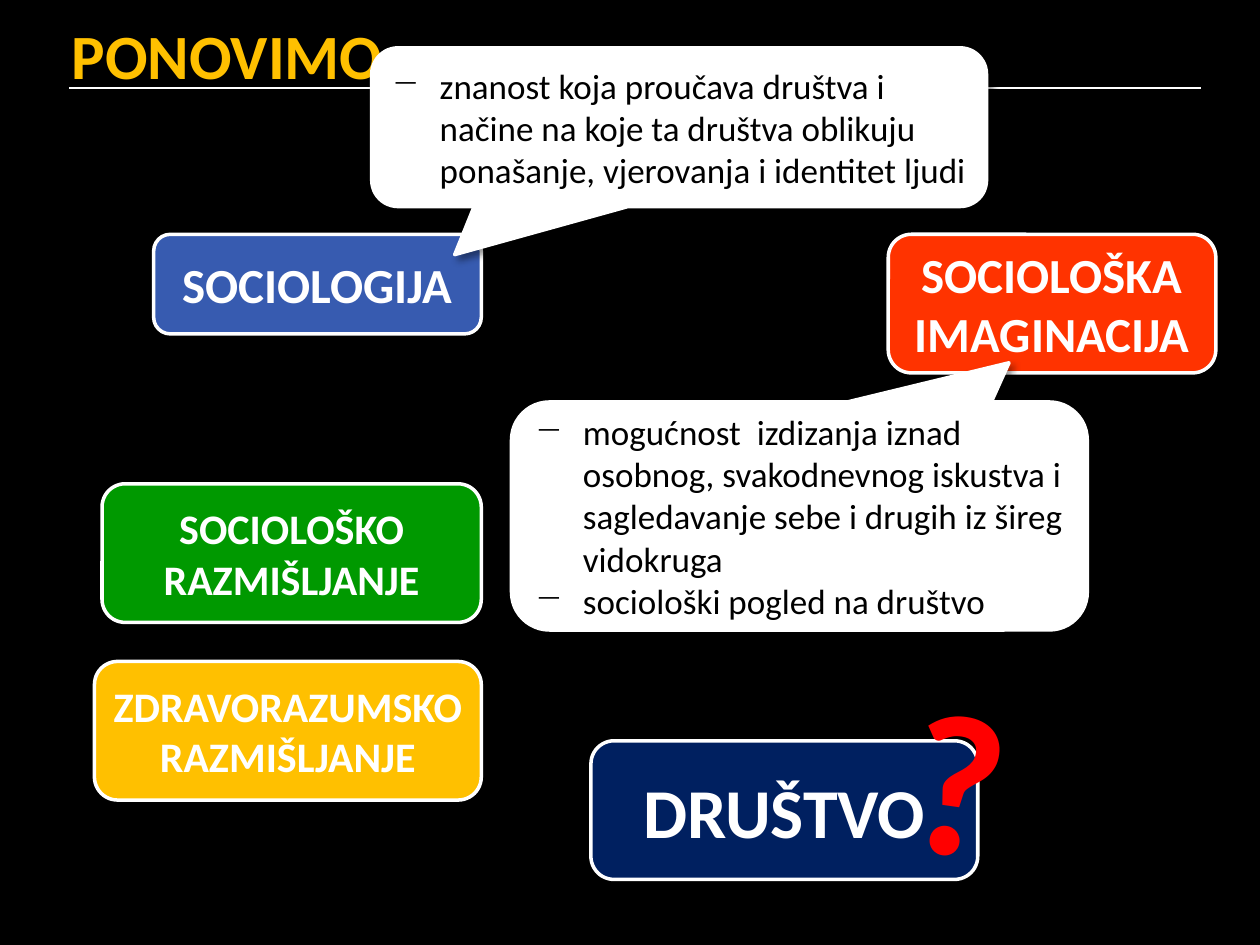
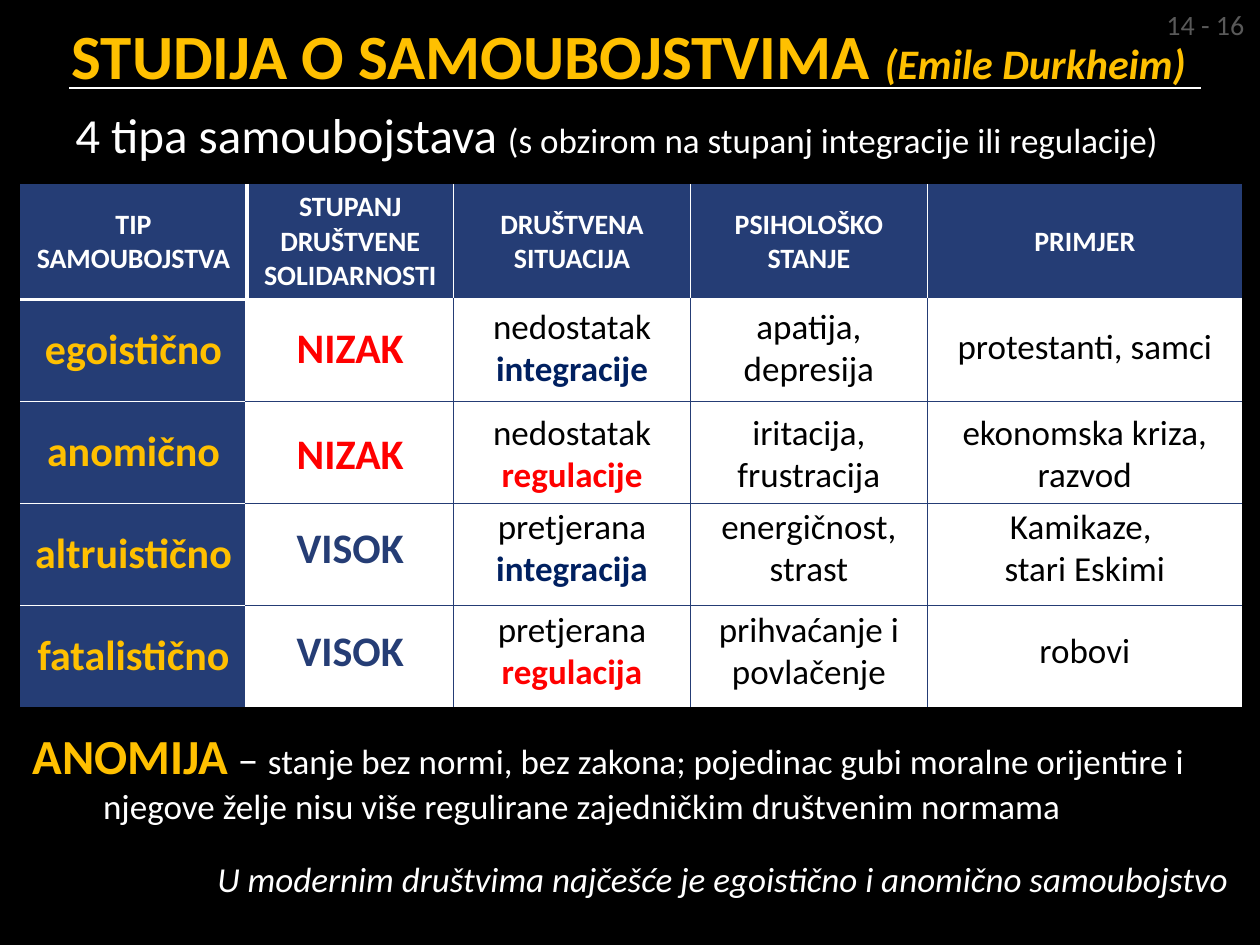
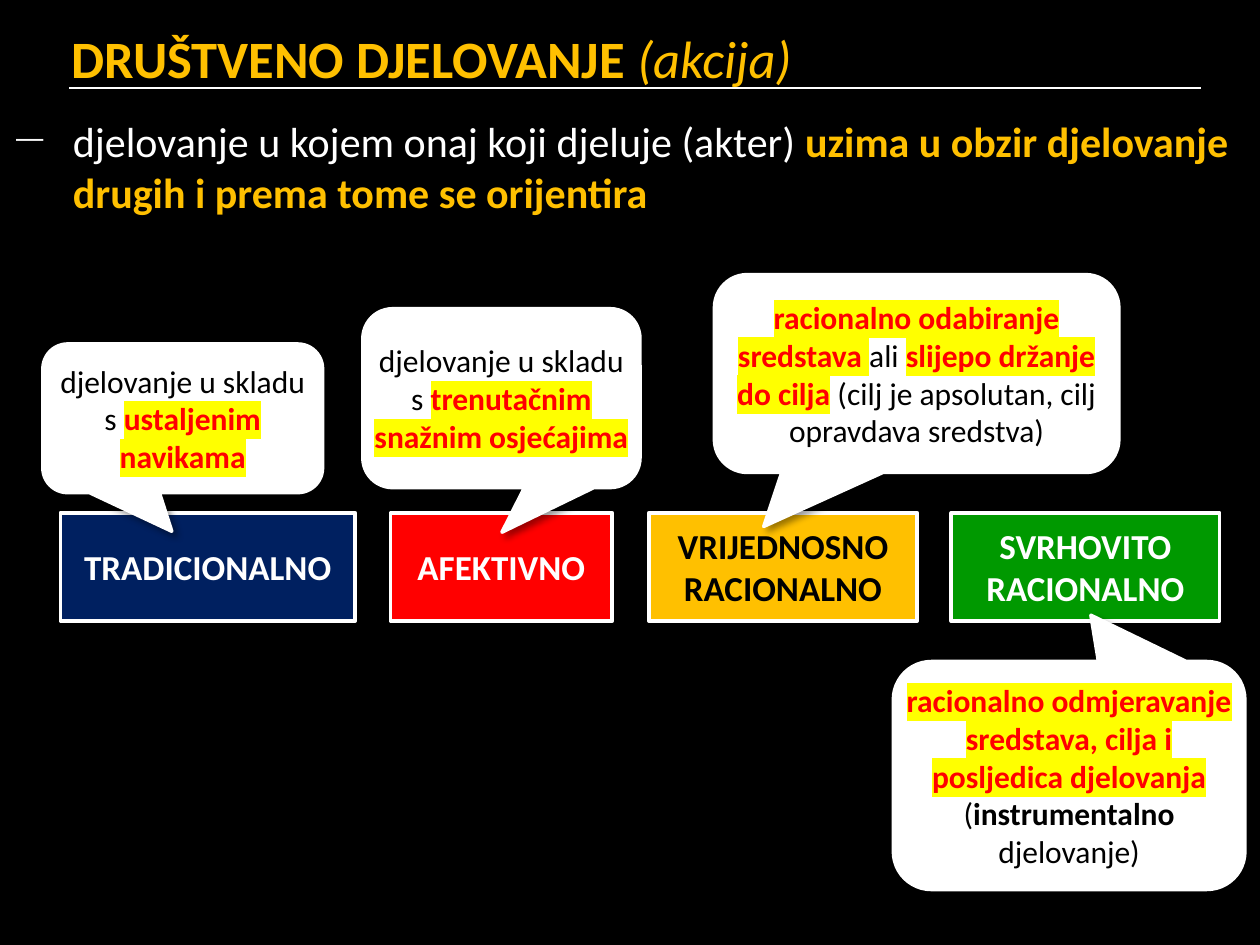
from dataclasses import dataclass

from lxml.etree import SubElement
from pptx import Presentation
from pptx.dml.color import RGBColor
from pptx.enum.shapes import MSO_CONNECTOR as Connector, MSO_SHAPE as Shape
from pptx.enum.text import MSO_ANCHOR as Anchor, MSO_AUTO_SIZE as AutoSize, PP_ALIGN as Align
from pptx.oxml.ns import qn
from pptx.util import Inches, Pt


@dataclass(frozen=True)
class Theme:
    font: str = "Calibri"
    black: str = "000000"
    white: str = "FFFFFF"
    gold: str = "FFC000"
    red: str = "FF0000"
    orange: str = "FF3300"
    green: str = "009900"
    blue: str = "375BB0"
    navy: str = "002060"
    table_blue: str = "253D75"
    grey: str = "595959"
    dash: str = "F9F9F9"
    marker: str = "FFFF00"
    title: float = 36
    subtitle: float = 30
    giant: float = 115
    huge: float = 40
    large: float = 28
    medium: float = 24
    body: float = 20
    note: float = 18
    small: float = 16
    outline: float = 2


T = Theme()


@dataclass(frozen=True)
class Span:
    text: str
    size: float = T.body
    color: str = T.black
    bold: bool = False
    italic: bool = False
    highlight: str = ""


@dataclass(frozen=True)
class Para:
    spans: tuple
    align: Align = Align.LEFT
    left: float = 0
    first: float = 0
    before: float = 0
    bullet: str = ""
    bullet_color: str = ""
    bullet_percent: int = 0


def rgb(value):
    return RGBColor.from_string(value)


def centred(*spans):
    return Para(spans, Align.CENTER)


def add_color(parent, value):
    fill = SubElement(parent, qn("a:solidFill"))
    return SubElement(fill, qn("a:srgbClr"), val=value)


# --- Text ---
def write_span(paragraph, span):
    run = paragraph.add_run()
    run.text = span.text
    font = run.font
    font.name, font.size = T.font, Pt(span.size)
    font.bold, font.italic = span.bold, span.italic
    font.color.rgb = rgb(span.color)
    if span.highlight:
        props = run._r.get_or_add_rPr()
        marker = SubElement(props, qn("a:highlight"))
        SubElement(marker, qn("a:srgbClr"), val=span.highlight)
        props.find(qn("a:solidFill")).addnext(marker)
    return run


def format_paragraph(paragraph, para):
    paragraph.alignment = para.align
    if para.before:
        paragraph.space_before = Pt(para.before)
    props = paragraph._p.get_or_add_pPr()
    props.set("marL", str(Inches(para.left)))
    props.set("indent", str(Inches(para.first)))
    if para.bullet_color:
        SubElement(SubElement(props, qn("a:buClr")), qn("a:srgbClr"), val=para.bullet_color)
    if para.bullet_percent:
        SubElement(props, qn("a:buSzPct"), val=str(para.bullet_percent * 1000))
    if para.bullet:
        SubElement(props, qn("a:buChar"), char=para.bullet)
    else:
        SubElement(props, qn("a:buNone"))


def write_text(frame, paras, anchor=Anchor.TOP, insets=(0.1, 0.05), wrap=True):
    frame.word_wrap = wrap
    frame.auto_size = AutoSize.NONE
    frame.vertical_anchor = anchor
    frame.margin_left = frame.margin_right = Inches(insets[0])
    frame.margin_top = frame.margin_bottom = Inches(insets[1])
    for index, para in enumerate(paras):
        paragraph = frame.add_paragraph() if index else frame.paragraphs[0]
        format_paragraph(paragraph, para)
        for span in para.spans:
            write_span(paragraph, span)


def add_text(slide, place, *paras, wrap=True):
    box = slide.shapes.add_textbox(*map(Inches, place))
    write_text(box.text_frame, paras, wrap=wrap)
    return box


# --- Shared slide frame ---
def add_titled_slide(deck, top, *spans):
    slide = deck.slides.add_slide(deck.slide_layouts[5])
    title = slide.shapes.title
    title.left, title.top, title.width, title.height = map(Inches, (0.47, top, 9.4, 0.63))
    write_text(title.text_frame, [Para(spans)])
    rule = slide.shapes.add_connector(
        Connector.STRAIGHT, Inches(0.55), Inches(0.7), Inches(9.53), Inches(0.7))
    rule.line.color.rgb = rgb(T.white)
    rule.line.width = Pt(1)
    SubElement(rule._element.spPr, qn("a:effectLst"))
    return slide


# --- Boxes and callouts ---
def add_panel(slide, kind, place, fill, paras, insets=(0.1, 0.05), shadow=True):
    panel = slide.shapes.add_shape(kind, *map(Inches, place))
    panel.fill.solid()
    panel.fill.fore_color.rgb = rgb(fill)
    panel.line.color.rgb = rgb(T.white)
    panel.line.width = Pt(T.outline)
    panel.shadow.inherit = False
    if shadow:
        effects = panel._element.spPr.find(qn("a:effectLst"))
        cast = SubElement(effects, qn("a:outerShdw"), blurRad=str(Pt(4)), dist=str(Pt(3)),
                          dir=str(45 * 60000), rotWithShape="0")
        tint = SubElement(cast, qn("a:srgbClr"), val=T.black)
        SubElement(tint, qn("a:alpha"), val="40000")
    write_text(panel.text_frame, paras, Anchor.MIDDLE, insets)
    return panel


def add_callout(slide, place, tip, paras, insets=(0.1, 0.05)):
    callout = add_panel(slide, Shape.ROUNDED_RECTANGULAR_CALLOUT, place, T.white, paras, insets)
    callout.adjustments[0], callout.adjustments[1] = tip


# --- Table ---
def set_border(cell, side, color, width):
    props = cell._tc.get_or_add_tcPr()
    border = SubElement(props, qn("a:ln" + side), w=str(Pt(width)))
    if color:
        add_color(border, color)
    else:
        SubElement(border, qn("a:noFill"))


def inner_border(thick, thin):
    if thick:
        return T.white, 2.25
    return (T.white, 0.25) if thin else (T.table_blue, 1)


def style_cell(cell, row, col, last_row, last_col):
    def upright(c):
        return inner_border(c == 0, row == 0) if 0 <= c < last_col else (None, 1)

    def level(r):
        return inner_border(r == 0, col == 0) if 0 <= r < last_row else (None, 1)

    for side, border in (("L", upright(col - 1)), ("R", upright(col)),
                         ("T", level(row - 1)), ("B", level(row))):
        set_border(cell, side, *border)
    cell.fill.solid()
    cell.fill.fore_color.rgb = rgb(T.white if row and col else T.table_blue)
    cell.vertical_anchor = Anchor.MIDDLE
    cell.margin_left = cell.margin_right = Inches(0.05)
    cell.margin_top = cell.margin_bottom = Inches(0.05)


def add_grid(slide, left, top, widths, heights, headings, row_names):
    grid = slide.shapes.add_table(
        len(heights), len(widths), Inches(left), Inches(top),
        Inches(sum(widths)), Inches(sum(heights))).table
    for col, width in enumerate(widths):
        grid.columns[col].width = Inches(width)
    for row, height in enumerate(heights):
        grid.rows[row].height = Inches(height)
        for col in range(len(widths)):
            cell = grid.cell(row, col)
            style_cell(cell, row, col, len(heights) - 1, len(widths) - 1)
            if row == 0:
                label = Span(headings[col], T.small, T.white, True)
            elif col == 0:
                label = Span(row_names[row - 1], T.medium, T.gold, True)
            else:
                continue
            paragraph = cell.text_frame.paragraphs[0]
            paragraph.alignment = Align.CENTER
            write_span(paragraph, label)


# --- Slides ---
def build_review(deck):
    slide = add_titled_slide(deck, 0.08, Span("PONOVIMO", T.title, T.gold, True))
    tight = (0.04, 0.05)
    terms = (
        ("SOCIOLOGIJA", (1.22, 1.86, 2.6, 0.79), T.blue, T.large, (0.1, 0.05)),
        ("SOCIOLOŠKA IMAGINACIJA", (7.05, 1.86, 2.6, 1.1), T.orange, T.large, (0.1, 0.05)),
        ("SOCIOLOŠKO RAZMIŠLJANJE", (0.81, 3.84, 3.01, 1.1), T.green, T.medium, (0.1, 0.05)),
        ("ZDRAVORAZUMSKO RAZMIŠLJANJE", (0.75, 5.25, 3.07, 1.1), T.gold, T.medium, tight),
        ("DRUŠTVO", (4.69, 5.88, 3.07, 1.1), T.navy, T.huge, tight),
    )
    for term, place, fill, size, insets in terms:
        add_panel(slide, Shape.ROUNDED_RECTANGLE, place, fill,
                  [centred(Span(term, size, T.white, True))], insets)

    definitions = (
        ((2.95, 0.38, 4.88, 1.26), (-0.365, 0.803),
         ("znanost koja proučava društva i načine na koje ta društva oblikuju "
          "ponašanje, vjerovanja i identitet ljudi",)),
        ((4.06, 3.19, 4.57, 1.81), (0.364, -0.672),
         ("mogućnost  izdizanja iznad osobnog, svakodnevnog iskustva i "
          "sagledavanje sebe i drugih iz šireg vidokruga",
          "sociološki pogled na društvo")),
    )
    for place, tip, points in definitions:
        add_callout(slide, place, tip,
                    [Para((Span(point),), left=0.38, first=-0.38, bullet="−") for point in points])

    question = add_text(slide, (7.14, 5.15, 0.95, 2.04),
                        Para((Span("?", T.giant, T.red, True),)), wrap=False)
    question.rotation = 8.1
    props = question.text_frame.paragraphs[0].runs[0]._r.get_or_add_rPr()
    edge = SubElement(props, qn("a:ln"), w=str(Pt(3)))
    add_color(edge, T.white)
    props.insert(0, edge)


def build_study(deck):
    slide = add_titled_slide(
        deck, 0.08, Span("STUDIJA O SAMOUBOJSTVIMA ", T.title, T.gold, True),
        Span("(Emile Durkheim)", T.medium, T.gold, True, True))
    add_text(slide, (0.35, 0.78, 9.3, 0.63), Para(
        (Span("4 tipa samoubojstava ", T.large, T.white),
         Span("(s obzirom na stupanj integracije ili regulacije)", T.body, T.white)),
        left=0.6, first=-0.45))

    left, widths = 0.16, (1.8, 1.64, 1.88, 1.88, 2.5)
    add_grid(slide, left, 1.46, widths, (0.91,) + (0.81,) * 4,
             ("TIP SAMOUBOJSTVA", "STUPANJ DRUŠTVENE SOLIDARNOSTI", "DRUŠTVENA SITUACIJA",
              "PSIHOLOŠKO STANJE", "PRIMJER"),
             ("egoistično", "anomično", "altruistično", "fatalistično"))

    # Answers laid over the white cells: centre, solidarity, situation, state, example
    low, high = ("NIZAK", T.red), ("VISOK", T.table_blue)
    answers = (
        (2.75, low, ("nedostatak ", "integracije", T.navy), "apatija, depresija",
         ("protestanti, samci",), 1),
        (3.59, low, ("nedostatak ", "regulacije", T.red), "iritacija, frustracija",
         ("ekonomska kriza, razvod",), 2),
        (4.34, high, ("pretjerana ", "integracija", T.navy), "energičnost, strast",
         ("Kamikaze, ", "stari Eskimi"), 2),
        (5.16, high, ("pretjerana ", "regulacija", T.red), "prihvaćanje i povlačenje",
         ("robovi",), 1),
    )
    one_line, big_line, two_lines = 0.44, 0.5, 0.77
    for centre, (degree, tone), (lack, subject, accent), state, examples, lines in answers:
        entries = (
            (big_line, [centred(Span(degree, T.medium, tone, True))]),
            (two_lines, [centred(Span(lack), Span(subject, color=accent, bold=True))]),
            (two_lines, [centred(Span(state))]),
            (two_lines if lines == 2 else one_line, [centred(Span(e)) for e in examples]),
        )
        for col, (height, paras) in enumerate(entries, start=1):
            place = (left + sum(widths[:col]), centre - height / 2, widths[col], height)
            add_text(slide, place, *paras)

    add_text(
        slide, (0.16, 5.71, 9.69, 1.5),
        Para((Span("ANOMIJA", T.large, T.gold, True), Span(" – ", T.medium, T.white),
              Span("stanje bez normi, bez zakona; pojedinac gubi moralne orijentire i njegove "
                   "želje nisu više regulirane zajedničkim društvenim normama", color=T.white)),
             left=0.56, first=-0.56),
        Para((Span("U modernim društvima najčešće je egoistično i anomično samoubojstvo",
                   color=T.white, italic=True),),
             Align.RIGHT, left=0.56, first=-0.56, before=18))
    add_text(slide, (9.16, 0.01, 0.84, 0.37),
             Para((Span("14 - 16", T.small, T.grey),)), wrap=False)


def build_action(deck):
    slide = add_titled_slide(
        deck, 0.16, Span("DRUŠTVENO DJELOVANJE ", T.subtitle, T.gold, True),
        Span("(akcija)", T.subtitle, T.gold, italic=True))
    types = (
        ("TRADICIONALNO", 0.48, 2.34, T.navy, T.white),
        ("AFEKTIVNO", 3.1, 1.76, T.red, T.white),
        ("VRIJEDNOSNO RACIONALNO", 5.15, 2.13, T.gold, T.black),
        ("SVRHOVITO RACIONALNO", 7.55, 2.13, T.green, T.white),
    )
    for name, left, width, fill, ink in types:
        add_panel(slide, Shape.RECTANGLE, (left, 4.07, width, 0.86), fill,
                  [centred(Span(name, T.body, ink, True))], shadow=False)

    def plain(text, bold=False):
        return Span(text, T.note, bold=bold)

    def key(text):
        return Span(text, T.note, T.red, True, highlight=T.marker)

    meanings = (
        ((0.34, 2.73, 2.22, 1.18), (-0.039, 0.76), 0.04,
         (plain("djelovanje u skladu s "), key("ustaljenim navikama"))),
        ((2.88, 2.45, 2.2, 1.42), (0.002, 0.749), 0,
         (plain("djelovanje u skladu s "), key("trenutačnim snažnim osjećajima"))),
        ((5.67, 2.18, 3.21, 1.57), (-0.378, 0.773), 0,
         (key("racionalno odabiranje sredstava "), plain("ali "), key("slijepo držanje do cilja"),
          plain(" (cilj je apsolutan, cilj opravdava sredstva)"))),
        ((7.09, 5.25, 2.79, 1.81), (0.062, -0.703), 0,
         (key("racionalno odmjeravanje sredstava, cilja i posljedica djelovanja "), plain("("),
          plain("instrumentalno", True), plain(" djelovanje)"))),
    )
    for place, tip, side, spans in meanings:
        add_callout(slide, place, tip,
                    [Para(spans, Align.CENTER, first=-0.19, before=6)], (side, 0.04))

    add_text(slide, (-0.12, 0.87, 10.12, 0.91), Para(
        (Span("djelovanje u kojem onaj koji djeluje (akter) ", T.medium, T.white),
         Span("uzima u obzir djelovanje drugih i prema tome se orijentira",
              T.medium, T.gold, True)),
        left=0.6, first=-0.45, bullet="—", bullet_color=T.dash, bullet_percent=65))


def main():
    deck = Presentation()
    deck.slide_width, deck.slide_height = Inches(10), Inches(7.5)
    backdrop = deck.slide_master.background.fill
    backdrop.solid()
    backdrop.fore_color.rgb = rgb(T.black)
    build_review(deck)
    build_study(deck)
    build_action(deck)
    deck.save("out.pptx")


if __name__ == "__main__":
    main()
